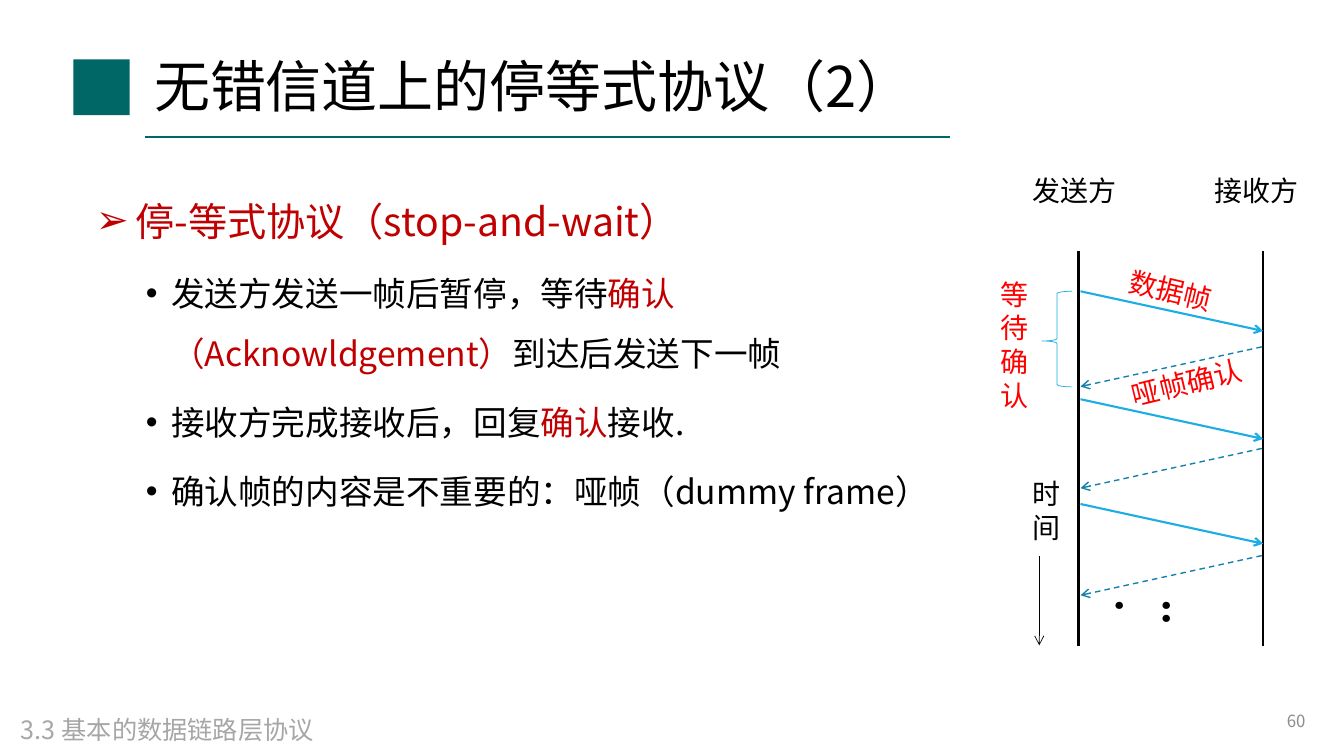
from dataclasses import dataclass

from lxml import etree
from pptx import Presentation
from pptx import util as u
from pptx.dml.color import RGBColor
from pptx.enum import dml, shapes, text
from pptx.oxml.ns import qn


@dataclass(frozen=True)
class Theme:
    font: str = "Noto Sans CJK SC"
    black: str = "000000"
    teal: str = "006666"
    dark_red: str = "C00000"
    red: str = "FF0000"
    blue: str = "1CADE4"
    deep_blue: str = "1580A9"
    number_gray: str = "8C8C8C"
    footer_gray: str = "A6A6A6"
    title: int = 40
    topic: int = 28
    point: int = 24
    label: int = 20
    footer: int = 18
    number: int = 12


THEME = Theme()


@dataclass(frozen=True)
class Label:
    words: str
    left: float
    top: float
    width: float
    height: float
    color: str = THEME.black
    size: int = THEME.label
    turn: float = 0
    bold: bool = False
    align: text.PP_ALIGN = text.PP_ALIGN.LEFT
    anchor: text.MSO_ANCHOR = text.MSO_ANCHOR.TOP
    upright: bool = False


@dataclass(frozen=True)
class Stroke:
    start: tuple[float, float]
    end: tuple[float, float]
    color: str = THEME.black
    weight: float = 2
    arrow: bool = False
    dashed: bool = False


@dataclass(frozen=True)
class Item:
    spans: tuple[tuple[str, str], ...]
    size: int = THEME.point
    level: int = 1
    bullet: str = "•"
    margin: float = 1.9
    hanging: float = 0.64
    before: float = 6


LABELS = (
    Label("60", 23.93, 17.65, 9.22, 1.02, THEME.number_gray, THEME.number,
          align=text.PP_ALIGN.RIGHT, anchor=text.MSO_ANCHOR.MIDDLE),
    Label("发送方", 25.78, 4.24, 2.79, 1.09),
    Label("接收方", 30.35, 4.24, 2.79, 1.09),
    Label("时间", 25.78, 11.89, 0.91, 2.11),
    Label("...", 28.73, 14.86, 1.7, 1.42, size=THEME.topic, bold=True, upright=True),
    Label("数据帧", 28.19, 6.76, 2.64, 1.09, THEME.red, turn=13.3),
    Label("哑帧确认", 28.24, 9.04, 3.73, 1.09, THEME.red, turn=346.4),
    Label("等待确认", 24.97, 6.86, 1.22, 3.3, THEME.red),
    Label("3.3 基本的数据链路层协议", 0.28, 17.88, 8.36, 1.02,
          THEME.footer_gray, THEME.footer),
)

ITEMS = (
    Item((("停-等式协议（stop-and-wait）", THEME.dark_red),), THEME.topic, 0, "➢", 1, 1, 0),
    Item((("发送方发送一帧后暂停，等待", THEME.black),
          ("确认（Acknowldgement）", THEME.dark_red),
          ("到达后发送下一帧", THEME.black))),
    Item((("接收方完成接收后，回复", THEME.black),
          ("确认", THEME.dark_red),
          ("接收.", THEME.black))),
    Item((("确认帧的内容是不重要的：哑帧（dummy frame）", THEME.black),)),
)

SENDER_X, RECEIVER_X = 27.18, 31.83
TIMELINE_TOP, TIMELINE_BOTTOM = 6.32, 16.28
TRAVEL = 1.0
EXCHANGES = ((7.34, 8.74), (10.06, 11.3), (12.7, 14.0))


def add_span(para, words: str, *, size: int, color: str, bold: bool = False) -> None:
    span = para.add_run()
    span.text = words
    font = span.font
    font.size = u.Pt(size)
    font.bold = bold
    font.color.rgb = RGBColor.from_string(color)
    font.name = THEME.font
    etree.SubElement(span._r.get_or_add_rPr(), qn("a:ea"), typeface=THEME.font)


def place(shape, left: float, top: float, width: float, height: float) -> None:
    shape.left, shape.top = u.Cm(left), u.Cm(top)
    shape.width, shape.height = u.Cm(width), u.Cm(height)


def draw_label(page, label: Label) -> None:
    box = page.shapes.add_textbox(
        *map(u.Cm, (label.left, label.top, label.width, label.height)))
    box.rotation = label.turn
    frame = box.text_frame
    frame.word_wrap = True
    frame.vertical_anchor = label.anchor
    if label.upright:
        frame._txBody.bodyPr.set("vert", "eaVert")
    para = frame.paragraphs[0]
    para.alignment = label.align
    add_span(para, label.words, size=label.size, color=label.color, bold=label.bold)


def draw_stroke(page, stroke: Stroke) -> None:
    connector = page.shapes.add_connector(
        shapes.MSO_CONNECTOR.STRAIGHT, *map(u.Cm, stroke.start + stroke.end))
    line = connector.line
    line.color.rgb = RGBColor.from_string(stroke.color)
    line.width = u.Pt(stroke.weight)
    if stroke.dashed:
        line.dash_style = dml.MSO_LINE.DASH
    if stroke.arrow:
        etree.SubElement(line._get_or_add_ln(), qn("a:tailEnd"), type="arrow")
    etree.SubElement(connector._element.spPr, qn("a:effectLst"))


def draw_title(page) -> None:
    badge = page.shapes.add_shape(
        shapes.MSO_SHAPE.RECTANGLE, *map(u.Cm, (1.85, 1.5, 1.42, 1.4)))
    badge.shadow.inherit = False
    badge.fill.solid()
    badge.fill.fore_color.rgb = RGBColor.from_string(THEME.teal)
    badge.line.fill.background()
    draw_stroke(page, Stroke((3.66, 3.45), (23.93, 3.45), THEME.teal, 1.5))
    title = page.shapes.title
    place(title, 3.63, 1.02, 24.54, 2.44)
    frame = title.text_frame
    frame.auto_size = text.MSO_AUTO_SIZE.NONE
    frame.vertical_anchor = text.MSO_ANCHOR.MIDDLE
    para = frame.paragraphs[0]
    para.alignment = text.PP_ALIGN.LEFT
    para.line_spacing = 0.9
    add_span(para, "无错信道上的停等式协议（2）", size=THEME.title, color=THEME.black)


def draw_body(page) -> None:
    body = page.placeholders[1]
    place(body, 2.16, 4.24, 21.74, 10.26)
    frame = body.text_frame
    frame.auto_size = text.MSO_AUTO_SIZE.NONE
    for index, item in enumerate(ITEMS):
        para = frame.add_paragraph() if index else frame.paragraphs[0]
        para.level = item.level
        para.line_spacing = 1.5
        para.space_before = u.Pt(item.before)
        settings = para._p.get_or_add_pPr()
        settings.set("marL", str(u.Cm(item.margin)))
        settings.set("indent", str(-u.Cm(item.hanging)))
        etree.SubElement(settings, qn("a:buChar"), char=item.bullet)
        for words, color in item.spans:
            add_span(para, words, size=item.size, color=color)


def draw_exchange(page) -> None:
    for x in (SENDER_X, RECEIVER_X):
        draw_stroke(page, Stroke((x, TIMELINE_TOP), (x, TIMELINE_BOTTOM)))
    sender_edge, receiver_edge = SENDER_X + 0.05, RECEIVER_X - 0.03
    for data_y, reply_y in EXCHANGES:
        draw_stroke(page, Stroke((sender_edge, data_y), (RECEIVER_X, data_y + TRAVEL),
                                 THEME.blue, 1.5, arrow=True))
        draw_stroke(page, Stroke((receiver_edge, reply_y), (sender_edge, reply_y + TRAVEL),
                                 THEME.deep_blue, 1, arrow=True, dashed=True))
    draw_stroke(page, Stroke((26.19, 14), (26.19, 16.26), weight=0.5, arrow=True))
    brace = page.shapes.add_shape(
        shapes.MSO_SHAPE.LEFT_BRACE, *map(u.Cm, (26.26, 7.34, 0.76, 2.41)))
    brace.shadow.inherit = False
    brace.adjustments[0], brace.adjustments[1] = 0.08, 0.52
    brace.fill.background()
    brace.line.color.rgb = RGBColor.from_string(THEME.blue)
    brace.line.width = u.Pt(0.5)


def main() -> None:
    deck = Presentation()
    deck.slide_width, deck.slide_height = u.Cm(33.87), u.Cm(19.05)
    page = deck.slides.add_slide(deck.slide_layouts[1])
    draw_title(page)
    draw_body(page)
    draw_exchange(page)
    for label in LABELS:
        draw_label(page, label)
    deck.save("out.pptx")


if __name__ == "__main__":
    main()
